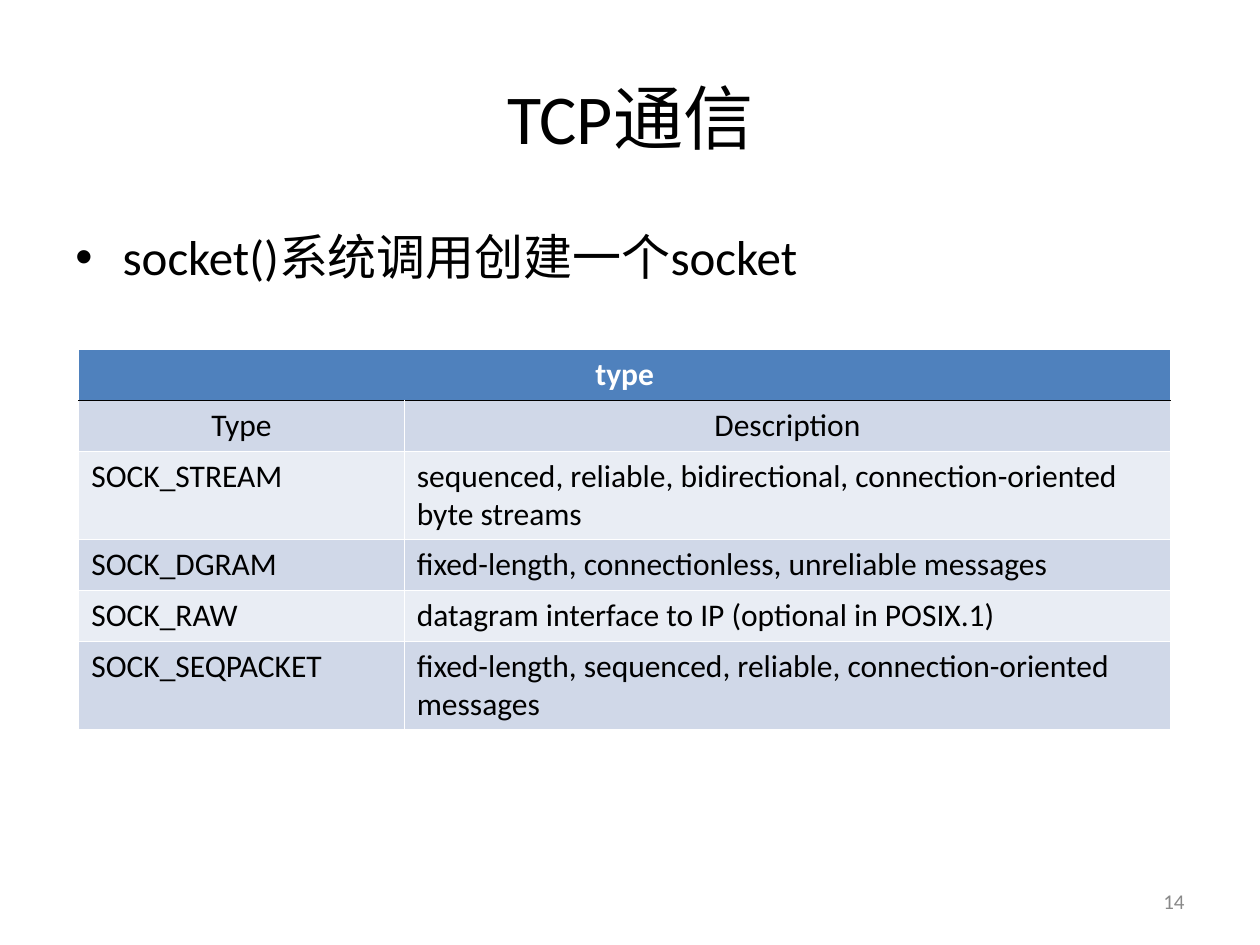
from dataclasses import dataclass

from lxml.etree import SubElement as Sub
from pptx import Presentation
from pptx.dml.color import RGBColor as Rgb
from pptx.enum.text import MSO_ANCHOR as Anchor, PP_ALIGN as Align
from pptx.oxml import parse_xml
from pptx.oxml.ns import nsdecls, qn
from pptx.util import Pt


@dataclass(frozen=True)
class Theme:
    font: str = "Calibri"
    black: str = "000000"
    white: str = "FFFFFF"
    gray: str = "898989"
    head: str = "4F81BD"
    bands: tuple = ("E9EDF4", "D0D8E8")
    title: float = 40
    body: float = 28
    cell: float = 18
    small: float = 12
    rule: float = 0.45


THEME = Theme()

ROWS = [
    ("type", ""),
    ("Type", "Description"),
    ("SOCK_STREAM", "sequenced, reliable, bidirectional, "
                    "connection-oriented byte streams"),
    ("SOCK_DGRAM", "fixed-length, connectionless, unreliable messages"),
    ("SOCK_RAW", "datagram interface to IP (optional in POSIX.1)"),
    ("SOCK_SEQPACKET", "fixed-length, sequenced, reliable, "
                       "connection-oriented messages"),
]
COLS = (186, 438)
HIGH = (29, 29, 50.5, 29, 29, 50.5)


def place(shape, box):
    for name, value in zip(("left", "top", "width", "height"), box):
        setattr(shape, name, Pt(value))


def write(frame, text, size, color, align=Align.LEFT, bold=False):
    para = frame.paragraphs[0]
    para.alignment = align
    run = para.add_run()
    run.text = text
    style = {"name": THEME.font, "size": Pt(size), "bold": bold}
    for name, value in style.items():
        setattr(run.font, name, value)
    run.font.color.rgb = Rgb.from_string(color)
    return para


def add_box(slide, box, anchor):
    shape = slide.shapes.add_textbox(*map(Pt, box))
    shape.text_frame.word_wrap = True
    shape.text_frame.vertical_anchor = anchor
    return shape.text_frame


def add_title(slide, box):
    title = slide.shapes.title
    place(title, box)
    title.text_frame.vertical_anchor = Anchor.MIDDLE
    write(title.text_frame, "TCP通信", THEME.title, THEME.black, Align.CENTER)


def add_body(slide, box):
    frame = add_box(slide, box, Anchor.TOP)
    para = write(frame, "socket()系统调用创建一个socket",
                 THEME.body, THEME.black)
    para.space_before = Pt(7)
    # Hanging bullet
    props = para._p.get_or_add_pPr()
    props.set("marL", str(Pt(27)))
    props.set("indent", str(-Pt(27)))
    Sub(props, qn("a:buFont"), typeface="Arial")
    Sub(props, qn("a:buChar"), char="•")


def set_edges(cell, top, base):
    colors = {"L": THEME.white, "R": THEME.white, "T": top, "B": base}
    props = cell._tc.get_or_add_tcPr()
    for spot, (side, color) in enumerate(colors.items()):
        props.insert(spot, parse_xml(
            f'<a:ln{side} {nsdecls("a")} w="{Pt(THEME.rule)}"><a:solidFill>'
            f'<a:srgbClr val="{color}"/></a:solidFill></a:ln{side}>'))


def add_types(slide, box):
    table = slide.shapes.add_table(len(ROWS), len(COLS), *map(Pt, box)).table
    for col, width in zip(table.columns, COLS):
        col.width = Pt(width)
    for row, height in zip(table.rows, HIGH):
        row.height = Pt(height)
    table.cell(0, 0).merge(table.cell(0, 1))

    for i, texts in enumerate(ROWS):
        head = i == 0
        fill = THEME.head if head else THEME.bands[i % 2]
        ink = THEME.white if head else THEME.black
        align = Align.CENTER if i < 2 else Align.LEFT
        # A black rule parts the heading from the rows below
        top = THEME.black if i == 1 else THEME.white
        base = THEME.black if head else THEME.white
        for j, text in enumerate(texts):
            cell = table.cell(i, j)
            cell.fill.solid()
            cell.fill.fore_color.rgb = Rgb.from_string(fill)
            set_edges(cell, top, base)
            if text:
                write(cell.text_frame, text, THEME.cell, ink, align, head)


def add_number(slide, box):
    frame = add_box(slide, box, Anchor.MIDDLE)
    write(frame, "14", THEME.small, THEME.gray, Align.RIGHT)


def main():
    deck = Presentation()
    deck.slide_width, deck.slide_height = Pt(720), Pt(540)
    slide = deck.slides.add_slide(deck.slide_layouts[5])
    add_title(slide, (36, 21.6, 648, 90))
    add_body(slide, (36, 126, 648, 356.4))
    add_number(slide, (516, 500.5, 168, 28.75))
    add_types(slide, (45, 199.75, sum(COLS), sum(HIGH)))
    deck.save("out.pptx")


if __name__ == "__main__":
    main()
